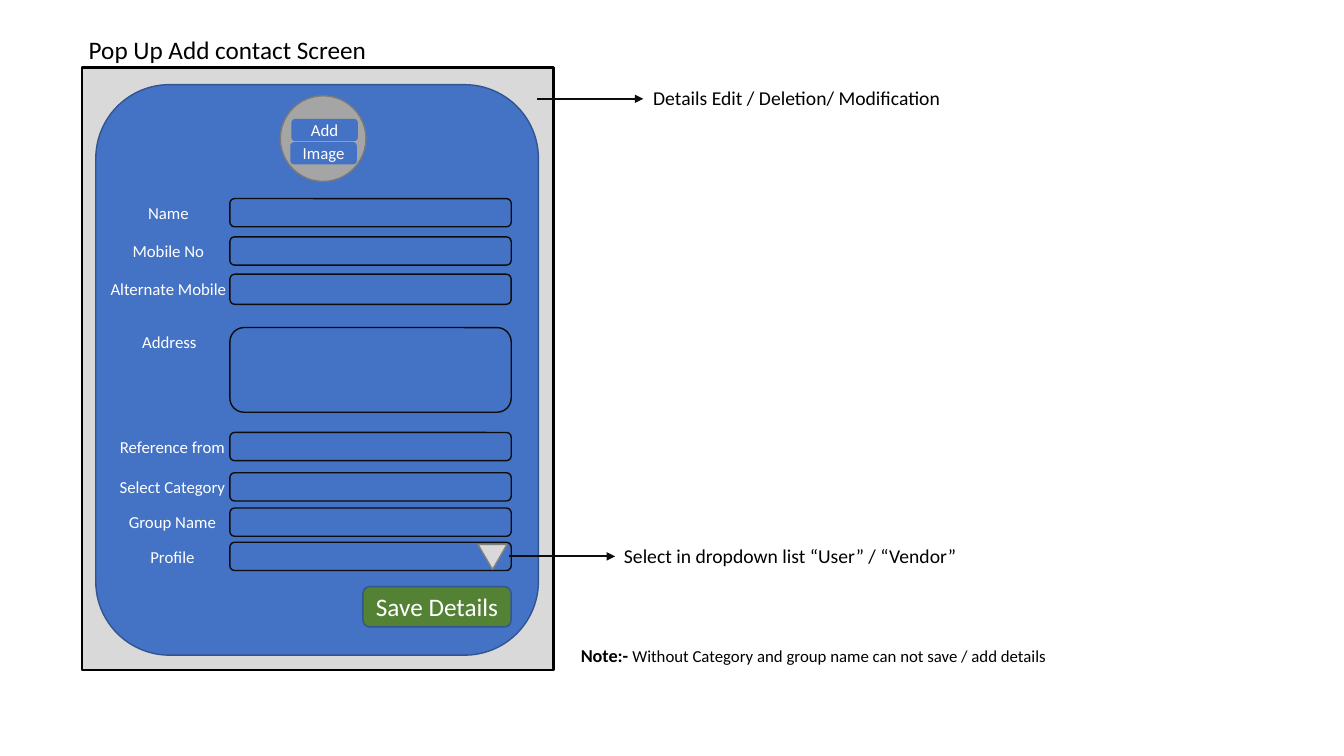
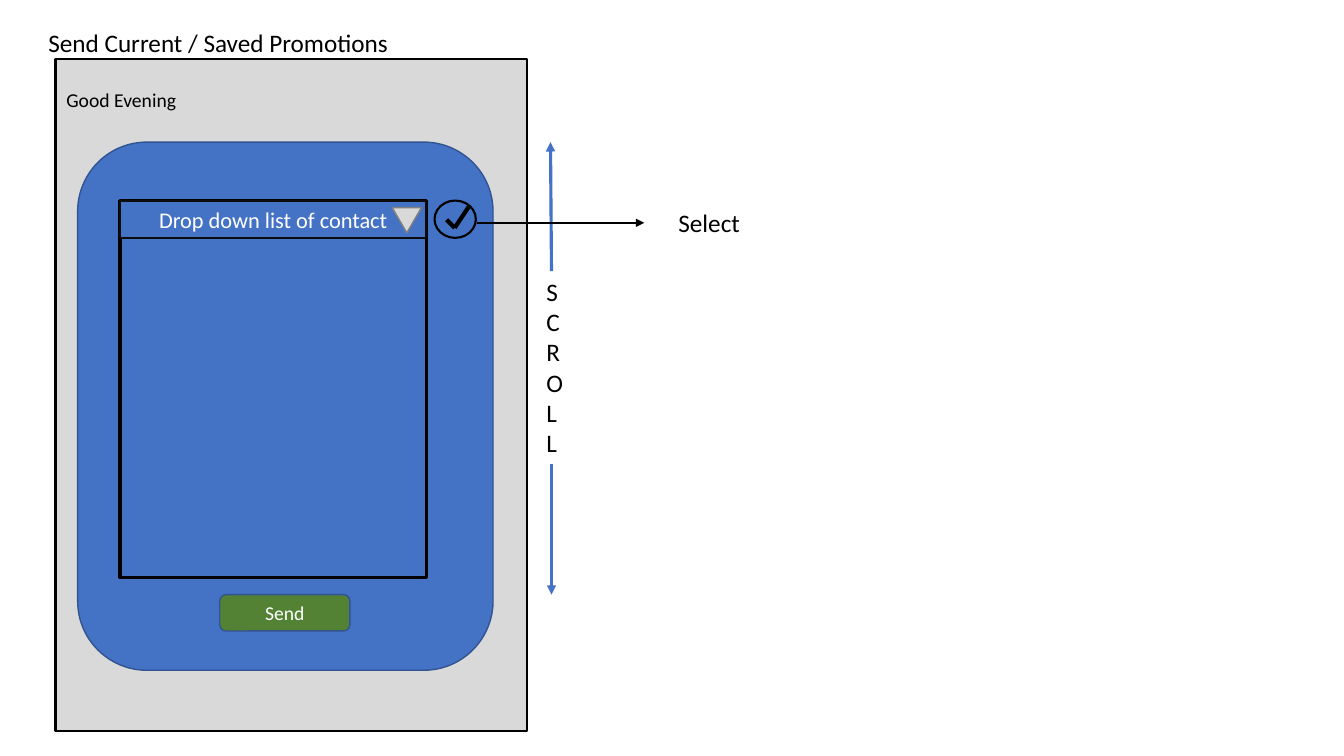
from lxml import etree
from pptx import Presentation
from pptx.dml.color import RGBColor
from pptx.enum.shapes import MSO_CONNECTOR as Link, MSO_SHAPE as Kind
from pptx.enum.text import MSO_ANCHOR as Anchor, MSO_AUTO_SIZE as Fit, PP_ALIGN as Align
from pptx.oxml.ns import qn
from pptx.util import Inches, Pt

FONT = "Calibri"
HEX = {
    "black": "000000", "ink": "0D0D0D", "white": "FFFFFF", "panel": "D9D9D9",
    "blue": "4472C4", "navy": "325491", "green": "548235",
    "gray": "A5A5A5", "rim": "7A7A7A", "edge": "808080",
}

# Label, label centre, top, field height
FIELDS = [
    ("Name", 1.67, 1.97, 0.28),
    ("Mobile No", 1.67, 2.35, 0.28),
    ("Alternate Mobile", 1.67, 2.72, 0.3),
    ("Address", 1.68, 3.25, 0.84),
    ("Reference from", 1.71, 4.29, 0.28),
    ("Select Category", 1.71, 4.69, 0.28),
    ("Group Name", 1.71, 5.04, 0.28),
    ("Profile", 1.71, 5.38, 0.28),
]
FIELD_X, FIELD_W = 2.28, 2.79
LABEL_W, LABEL_H = 1.49, 0.28
BADGE = [("Image", 2.88, 1.41), ("Add", 2.89, 1.18)]
# Text, text left, text top, arrow start, arrow end, arrow height
HINTS = [
    ("Details Edit / Deletion/ Modification", 6.38, 0.8, 5.33, 6.38, 0.98),
    ("Select in dropdown list “User” / “Vendor”", 6.09, 5.35, 5.05, 6.1, 5.52),
]
NOTE = [("Note:- ", 13, True),
        ("Without Category and group name can not save / add details", 12, False)]
SCROLL = [((5.47, 4.6), (5.47, 5.9)), ((5.47, 2.69), (5.46, 1.41))]
TICK = [((4.43, 2.18), (4.51, 2.26)), ((4.65, 2.05), (4.51, 2.26))]


def rgb(name):
    return RGBColor.from_string(HEX[name])


def style(font, size, color, bold=False):
    font.name, font.size, font.bold = FONT, Pt(size), bold
    font.color.rgb = rgb(color)


def center(frame):
    """Centre the text both ways, without insets."""
    frame.margin_left = frame.margin_right = 0
    frame.margin_top = frame.margin_bottom = 0
    frame.vertical_anchor = Anchor.MIDDLE
    frame.paragraphs[0].alignment = Align.CENTER


def shape(slide, kind, box, fill, line=None, width=1.0, text="", size=12):
    item = slide.shapes.add_shape(kind, *map(Inches, box))
    item.shadow.inherit = False
    item.fill.solid()
    item.fill.fore_color.rgb = rgb(fill)
    if line:
        item.line.color.rgb = rgb(line)
        item.line.width = Pt(width)
    else:
        item.line.fill.background()
    if text:
        frame = item.text_frame
        frame.text = text
        center(frame)
        style(frame.paragraphs[0].font, size, "white")
    return item


def write(slide, text, box, size, color="black", wrap=True):
    frame = slide.shapes.add_textbox(*map(Inches, box)).text_frame
    frame.word_wrap = wrap
    frame.text = text
    for para in frame.paragraphs:
        style(para.font, size, color)
    return frame


def stroke(slide, start, end, color, width, arrow=True):
    line = slide.shapes.add_connector(Link.STRAIGHT, *map(Inches, (*start, *end)))
    line.line.color.rgb = rgb(color)
    line.line.width = Pt(width)
    if arrow:
        etree.SubElement(line.line._get_or_add_ln(), qn("a:tailEnd"), type="triangle")
    etree.SubElement(line._element.spPr, qn("a:effectLst"))


def drop(slide, left, top):
    """Dropdown marker: a triangle that points down."""
    mark = shape(slide, Kind.ISOSCELES_TRIANGLE, (left, top, 0.29, 0.25), "panel", "edge")
    mark.rotation = 180


def screen(deck, title, spot, frame, card):
    """Add a slide with its title, grey frame and blue card."""
    slide = deck.slides.add_slide(deck.slide_layouts[5])
    head = slide.shapes.title
    head.left, head.top, head.width, head.height = map(Inches, (*spot, 3.61, 0.4))
    text = head.text_frame
    text.text = title
    text.auto_size, text.word_wrap = Fit.NONE, False
    text.vertical_anchor = Anchor.TOP
    text.paragraphs[0].alignment = Align.LEFT
    style(text.paragraphs[0].font, 18, "black")
    shape(slide, Kind.RECTANGLE, frame, "panel", "black", 1.5)
    shape(slide, Kind.ROUNDED_RECTANGLE, card, "blue", "navy")
    return slide


def button(slide, text, box, size):
    shape(slide, Kind.ROUNDED_RECTANGLE, box, "green", "navy", text=text, size=size)


def add_contact(deck):
    slide = screen(deck, "Pop Up Add contact Screen", (0.78, 0.29),
                   (0.81, 0.67, 4.68, 5.98), (0.95, 0.84, 4.39, 5.66))
    shape(slide, Kind.OVAL, (2.78, 0.95, 0.85, 0.85), "gray", "rim")
    for text, left, top in BADGE:
        shape(slide, Kind.ROUNDED_RECTANGLE, (left, top, 0.66, 0.22), "blue", text=text)
    for text, mid, top, height in FIELDS:
        shape(slide, Kind.ROUNDED_RECTANGLE, (FIELD_X, top, FIELD_W, height), "blue", "ink")
        center(write(slide, text, (mid - LABEL_W / 2, top, LABEL_W, LABEL_H), 12, "white"))
    drop(slide, 4.74, 5.4)
    button(slide, "Save Details", (3.6, 5.82, 1.47, 0.4), 18)
    for text, left, top, start, end, level in HINTS:
        stroke(slide, (start, level), (end, level), "ink", 1.5)
        write(slide, text, (left, top, 3.88, 0.57), 14)
    note = write(slide, "", (5.5, 6.3, 5.14, 0.4), 12)
    center(note)
    for text, size, bold in NOTE:
        run = note.paragraphs[0].add_run()
        run.text = text
        style(run.font, size, "black", bold)


def send_promo(deck):
    slide = screen(deck, "Send Current / Saved Promotions", (0.38, 0.22),
                   (0.55, 0.59, 4.68, 6.66), (0.77, 1.41, 4.12, 5.24))
    write(slide, "Good Evening", (0.56, 0.82, 1.3, 0.34), 14, wrap=False)
    write(slide, "\n".join("SCROLL"), (5.32, 2.69, 0.3, 2.22), 18)
    for start, end in SCROLL:
        stroke(slide, start, end, "blue", 2.25)
    button(slide, "Send", (2.18, 5.9, 1.29, 0.36), 14)
    shape(slide, Kind.RECTANGLE, (1.19, 1.99, 3.04, 3.74), "blue", "black", 2.25)
    shape(slide, Kind.RECTANGLE, (1.19, 1.99, 3.04, 0.37), "blue", "ink", 1.5,
          "Drop down list of contact", 16)
    drop(slide, 3.89, 2.06)
    shape(slide, Kind.OVAL, (4.31, 1.99, 0.41, 0.37), "blue", "black", 1.5)
    for start, end in TICK:
        stroke(slide, start, end, "black", 3, arrow=False)
    stroke(slide, (4.73, 2.21), (6.39, 2.21), "black", 1.5)
    write(slide, "Select", (6.63, 2.01, 0.88, 0.4), 18, wrap=False)


def main():
    deck = Presentation()
    deck.slide_width, deck.slide_height = Inches(13.33), Inches(7.5)
    add_contact(deck)
    send_promo(deck)
    deck.save("out.pptx")


if __name__ == "__main__":
    main()
